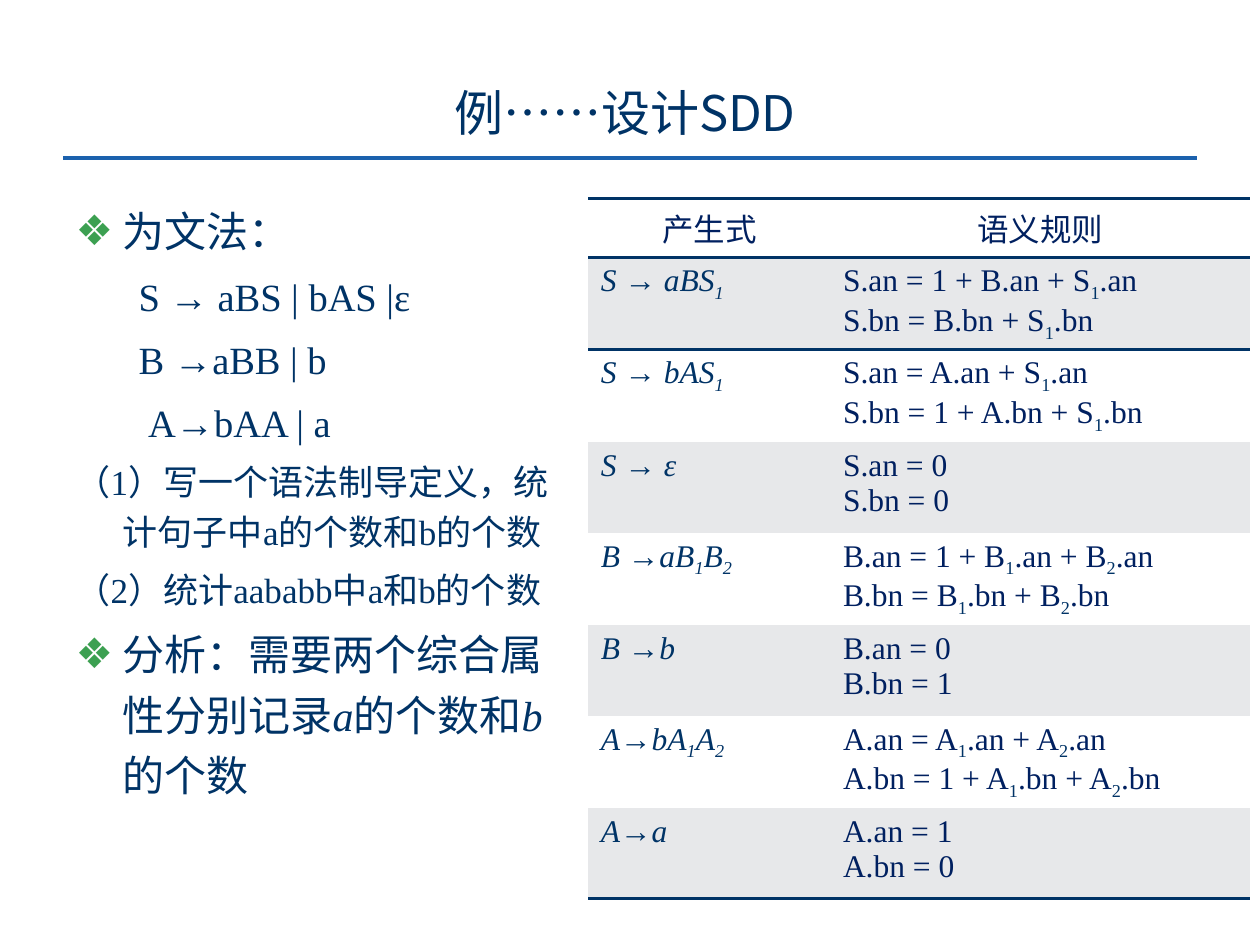
from lxml import etree
from pptx import Presentation
from pptx.dml.color import RGBColor
from pptx.enum import shapes, text
from pptx.oxml import ns
from pptx.util import Cm, Pt

NAVY = RGBColor(0x00, 0x33, 0x66)
DEEP_BLUE = RGBColor(0x00, 0x20, 0x60)
RULE_BLUE = RGBColor(0x1B, 0x61, 0xAD)
GREEN = RGBColor(0x3C, 0xA0, 0x51)
GREY = RGBColor(0xE7, 0xE8, 0xEA)
WHITE = RGBColor(0xFF, 0xFF, 0xFF)
SERIF = "Times New Roman"
SANS = "Noto Sans CJK SC"
NO_GRID_STYLE = "{2D5ABB26-0587-4C30-8999-92F81FD0307C}"

TITLE = "例……设计SDD"

# style: (level, size, left margin cm, first-line indent cm, bullet)
STYLES = {
    "point": (0, 24, 0.95, -0.95, "❖"),
    "grammar": (1, 22, 2.06, -0.79, None),
    "grammar_inset": (1, 22, 2.06, -0.6, None),
    "task": (0, 20, 0.95, -0.95, None),
}
# "*" switches italics on and off
BODY = [
    ("point", "为文法："),
    ("grammar", "S → aBS | bAS |ε"),
    ("grammar", "B →aBB | b"),
    ("grammar_inset", "A→bAA | a"),
    ("task", "（1）写一个语法制导定义，统计句子中a的个数和b的个数"),
    ("task", "（2）统计aababb中a和b的个数"),
    ("point", "分析：需要两个综合属性分别记录*a*的个数和*b*的个数"),
]

HEADINGS = ("产生式", "语义规则")
# "_" lowers the next character
RULES = [
    ("S → aBS_1", ["S.an = 1 + B.an + S_1.an", "S.bn = B.bn + S_1.bn"]),
    ("S → bAS_1", ["S.an = A.an + S_1.an", "S.bn = 1 + A.bn + S_1.bn"]),
    ("S → ε", ["S.an = 0", "S.bn = 0"]),
    ("B →aB_1B_2", ["B.an = 1 + B_1.an + B_2.an", "B.bn = B_1.bn + B_2.bn"]),
    ("B →b", ["B.an = 0", "B.bn = 1"]),
    ("A→bA_1A_2", ["A.an = A_1.an + A_2.an", "A.bn = 1 + A_1.bn + A_2.bn"]),
    ("A→a", ["A.an = 1", "A.bn = 0"]),
]
COLUMN_WIDTHS = (Cm(4.88), Cm(8.46))
HEADER_HEIGHT, ROW_HEIGHT = Cm(1.07), Cm(1.83)


def add_span(para, words, size, color, latin=SERIF, italic=False):
    span = para.add_run()
    span.text = words
    font = span.font
    font.name, font.size, font.italic, font.bold = latin, Pt(size), italic, False
    font.color.rgb = color
    east_asian = etree.SubElement(span._r.get_or_add_rPr(), ns.qn("a:ea"))
    east_asian.set("typeface", SANS)
    return span


def add_formula(para, formula, color, italic=False):
    """Write a formula, lowering each character that follows "_"."""
    first, *others = formula.split("_")
    add_span(para, first, 18, color, italic=italic)
    for part in others:
        index = add_span(para, part[0], 18, NAVY, italic=italic)
        index.font._element.set("baseline", "-25000")
        if part[1:]:
            add_span(para, part[1:], 18, color, italic=italic)


def set_bullet(para, bullet):
    props = para._p.get_or_add_pPr()
    if bullet is None:
        etree.SubElement(props, ns.qn("a:buNone"))
        return
    color = etree.SubElement(props, ns.qn("a:buClr"))
    etree.SubElement(color, ns.qn("a:srgbClr")).set("val", str(GREEN))
    etree.SubElement(props, ns.qn("a:buChar")).set("char", bullet)


def add_border(cell, side):
    """Draw the cell's top ("lnT") or bottom ("lnB") border."""
    line = etree.Element(ns.qn(f"a:{side}"), w=str(Pt(2)))
    fill = etree.SubElement(line, ns.qn("a:solidFill"))
    etree.SubElement(fill, ns.qn("a:srgbClr")).set("val", str(NAVY))
    cell._tc.get_or_add_tcPr().insert(0, line)


def place(shape, left, top, width, height):
    shape.left, shape.top = Cm(left), Cm(top)
    shape.width, shape.height = Cm(width), Cm(height)


def add_heading(page):
    rule = page.shapes.add_connector(
        shapes.MSO_CONNECTOR.STRAIGHT, Cm(1.27), Cm(3.18), Cm(24.13), Cm(3.18))
    rule.line.color.rgb, rule.line.width = RULE_BLUE, Pt(2.25)
    etree.SubElement(rule._element.spPr, ns.qn("a:effectLst"))

    title = page.shapes.title
    place(title, 2.34, 1.47, 20.52, 1.57)
    frame = title.text_frame
    frame.auto_size = text.MSO_AUTO_SIZE.NONE
    frame.vertical_anchor = text.MSO_ANCHOR.MIDDLE
    frame.paragraphs[0].alignment = text.PP_ALIGN.CENTER
    add_span(frame.paragraphs[0], TITLE, 28, NAVY, latin=SANS)


def add_body(page):
    body = page.placeholders[1]
    place(body, 1.27, 3.81, 10.36, 14.17)
    frame = body.text_frame
    frame.auto_size = text.MSO_AUTO_SIZE.NONE
    for number, (style, words) in enumerate(BODY):
        level, size, margin, indent, bullet = STYLES[style]
        para = frame.add_paragraph() if number else frame.paragraphs[0]
        para.level, para.line_spacing = level, 1.2
        if number == 0:
            para.space_before = Pt(0)
        props = para._p.get_or_add_pPr()
        props.set("marL", str(Cm(margin)))
        props.set("indent", str(Cm(indent)))
        set_bullet(para, bullet)
        for position, part in enumerate(words.split("*")):
            add_span(para, part, size, NAVY, italic=position % 2 == 1)


def add_rules_table(page):
    frame = page.shapes.add_table(
        len(RULES) + 1, 2, Cm(11.86), Cm(4.01), sum(COLUMN_WIDTHS),
        HEADER_HEIGHT + ROW_HEIGHT * len(RULES))
    table = frame.table
    table._tbl.tblPr.find(ns.qn("a:tableStyleId")).text = NO_GRID_STYLE
    for column, width in zip(table.columns, COLUMN_WIDTHS):
        column.width = width
    for number, row in enumerate(table.rows):
        row.height = ROW_HEIGHT if number else HEADER_HEIGHT
        for cell in row.cells:
            cell.fill.solid()
            cell.fill.fore_color.rgb = GREY if number % 2 else WHITE
            if number in (0, len(RULES)):
                add_border(cell, "lnB")
            if number in (0, 1):
                add_border(cell, "lnT")

    for cell, heading in zip(table.rows[0].cells, HEADINGS):
        para = cell.text_frame.paragraphs[0]
        para.alignment = text.PP_ALIGN.CENTER
        add_span(para, heading, 18, DEEP_BLUE)
    for number, (production, actions) in enumerate(RULES, 1):
        left, right = table.rows[number].cells
        add_formula(left.text_frame.paragraphs[0], production, NAVY, italic=True)
        right.text_frame.text = "\n".join("" for _ in actions)
        for para, action in zip(right.text_frame.paragraphs, actions):
            add_formula(para, action, DEEP_BLUE)


def main():
    deck = Presentation()
    deck.slide_width, deck.slide_height = Cm(25.4), Cm(19.05)
    page = deck.slides.add_slide(deck.slide_layouts[1])
    add_heading(page)
    add_body(page)
    add_rules_table(page)
    deck.save("out.pptx")


if __name__ == "__main__":
    main()
